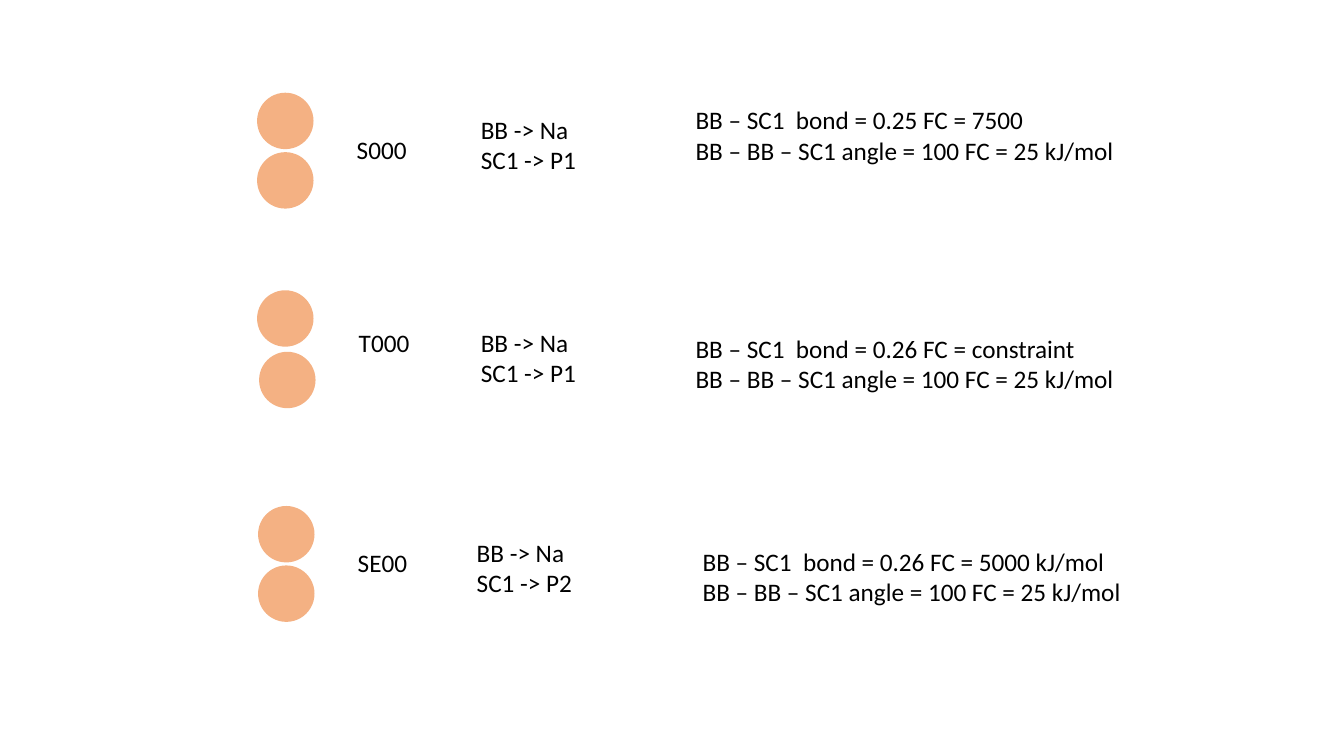
from pptx import Presentation
from pptx.dml.color import RGBColor
from pptx.enum.shapes import MSO_SHAPE
from pptx.enum.text import MSO_AUTO_SIZE
from pptx.util import Inches, Pt

COLORS = {"bead": "F4B183", "text": "000000"}
FONT = {"name": "Calibri", "size": Pt(18)}
BEAD_SIZE = 0.56
LINE_HEIGHT = 0.31
BOX_PADDING = 0.09
WIDTHS = {"name": 0.9, "types": 1.52, "parameters": 4.38}
ANGLE = "BB – BB – SC1 angle = 100 FC = 25 kJ/mol"

# Each residue: bead corners, then (left, top, lines) for each text column
RESIDUES = [
    {
        "beads": [(2.55, 0.92), (2.55, 1.51)],
        "name": (3.44, 1.28, ["S000"]),
        "types": (4.67, 1.08, ["BB -> Na", "SC1 -> P1"]),
        "parameters": (6.8, 0.99, ["BB – SC1  bond = 0.25 FC = 7500", ANGLE]),
    },
    {
        "beads": [(2.55, 2.88), (2.57, 3.49)],
        "name": (3.46, 3.2, ["T000"]),
        "types": (4.67, 3.2, ["BB -> Na", "SC1 -> P1"]),
        "parameters": (6.8, 3.26, ["BB – SC1  bond = 0.26 FC = constraint", ANGLE]),
    },
    {
        "beads": [(2.56, 5.02), (2.56, 5.61)],
        "name": (3.45, 5.38, ["SE00"]),
        "types": (4.63, 5.28, ["BB -> Na", "SC1 -> P2"]),
        "parameters": (6.87, 5.37, ["BB – SC1  bond = 0.26 FC = 5000 kJ/mol", ANGLE]),
    },
]


def add_bead(slide, left, top):
    bead = slide.shapes.add_shape(
        MSO_SHAPE.OVAL, Inches(left), Inches(top), Inches(BEAD_SIZE), Inches(BEAD_SIZE)
    )
    bead.shadow.inherit = False
    bead.fill.solid()
    bead.fill.fore_color.rgb = RGBColor.from_string(COLORS["bead"])
    bead.line.fill.background()


def add_text(slide, left, top, width, lines):
    height = BOX_PADDING + LINE_HEIGHT * len(lines)
    box = slide.shapes.add_textbox(
        Inches(left), Inches(top), Inches(width), Inches(height)
    )
    frame = box.text_frame
    frame.word_wrap = True
    frame.auto_size = MSO_AUTO_SIZE.SHAPE_TO_FIT_TEXT
    frame.text = "\n".join(lines)
    for paragraph in frame.paragraphs:
        for attribute, value in FONT.items():
            setattr(paragraph.font, attribute, value)
        paragraph.font.color.rgb = RGBColor.from_string(COLORS["text"])


def main():
    presentation = Presentation()
    presentation.slide_width = Inches(13.33)
    presentation.slide_height = Inches(7.5)
    slide = presentation.slides.add_slide(presentation.slide_layouts[6])
    for residue in RESIDUES:
        for left, top in residue["beads"]:
            add_bead(slide, left, top)
        for column, width in WIDTHS.items():
            left, top, lines = residue[column]
            add_text(slide, left, top, width, lines)
    presentation.save("out.pptx")


if __name__ == "__main__":
    main()
